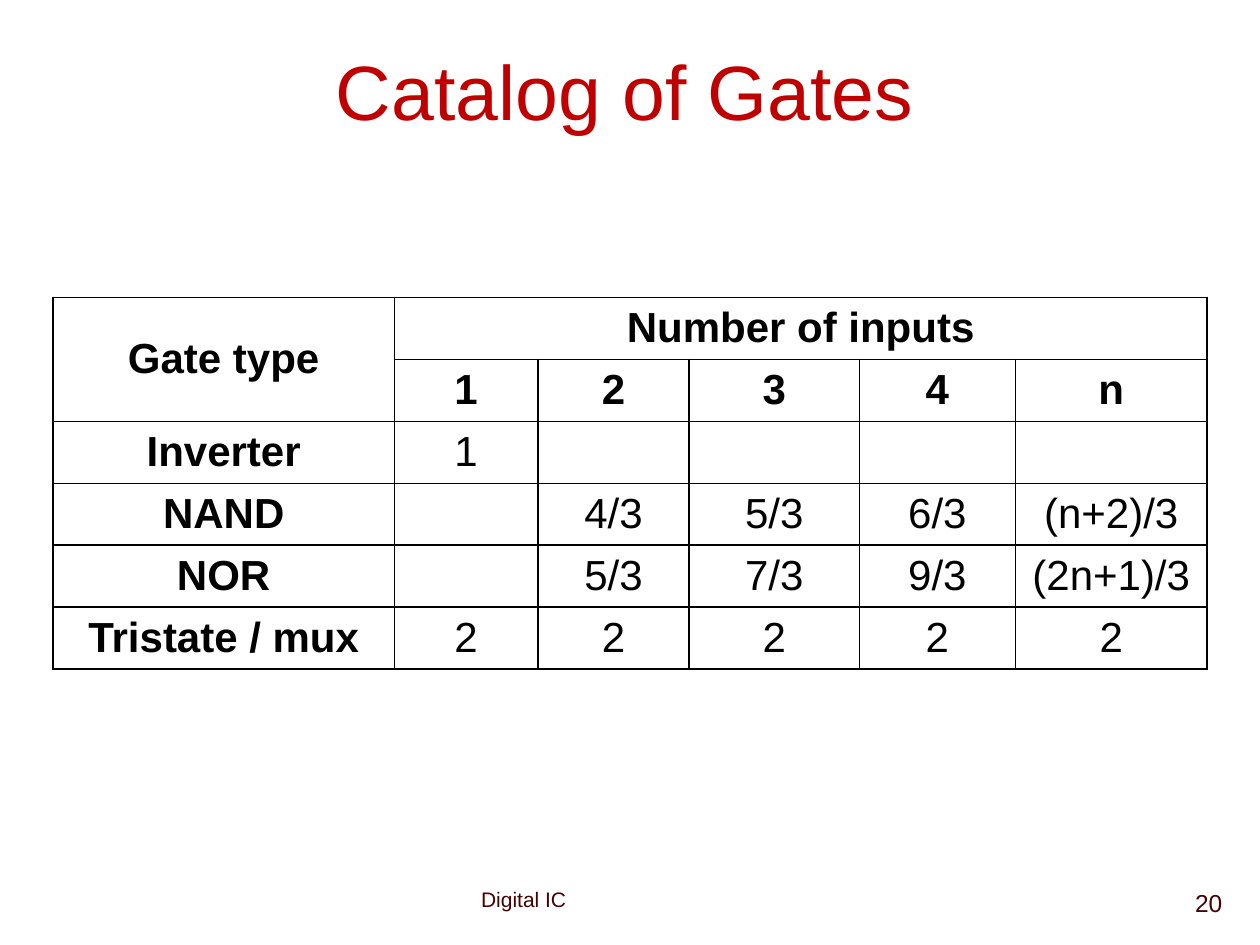
from dataclasses import dataclass

from lxml import etree
from pptx import Presentation
from pptx.dml.color import RGBColor
from pptx.enum.text import MSO_ANCHOR, PP_ALIGN
from pptx.oxml.ns import qn
from pptx.util import Inches, Pt

LEFT, CENTER, RIGHT = PP_ALIGN.LEFT, PP_ALIGN.CENTER, PP_ALIGN.RIGHT
TOP, MIDDLE = MSO_ANCHOR.TOP, MSO_ANCHOR.MIDDLE
SLIDE_WIDTH, SLIDE_HEIGHT = Inches(10), Inches(7.5)
TITLE_ONLY = 5
FONT = "Arial"
BLACK, RED, MAROON = "000000", "C00000", "480000"

COLUMN_SHARES = [27.1, 11.4, 12, 13.5, 12.4, 15.2]
ROW_SHARES = [6.27] * 2 + [6.4] * 4
HEADER_ROWS = 2
GATES = [
    ["Gate type", "Number of inputs", "", "", "", ""],
    ["", "1", "2", "3", "4", "n"],
    ["Inverter", "1", "", "", "", ""],
    ["NAND", "", "4/3", "5/3", "6/3", "(n+2)/3"],
    ["NOR", "", "5/3", "7/3", "9/3", "(2n+1)/3"],
    ["Tristate / mux", "2", "2", "2", "2", "2"],
]


def across(percent: float) -> int:
    return round(SLIDE_WIDTH * percent / 100)


def down(percent: float) -> int:
    return round(SLIDE_HEIGHT * percent / 100)


@dataclass
class Box:
    left: float
    top: float
    width: float
    height: float

    def lengths(self) -> tuple[int, int, int, int]:
        return across(self.left), down(self.top), across(self.width), down(self.height)


@dataclass
class Footer:
    text: str
    box: Box
    size: float
    align: PP_ALIGN


FOOTERS = [
    Footer("Digital IC", Box(37.2, 93.2, 24.2, 4), 12, LEFT),
    Footer("20", Box(77.2, 93.33, 20.8, 6.67), 14, RIGHT),
]


def color(value: str) -> RGBColor:
    return RGBColor.from_string(value)


def write(text_frame, text: str, *, size: float, fill: str = BLACK,
          bold: bool = False, align: PP_ALIGN = CENTER) -> None:
    paragraph = text_frame.paragraphs[0]
    paragraph.alignment = align
    run = paragraph.add_run()
    run.text = text
    run.font.name = FONT
    run.font.size = Pt(size)
    run.font.bold = bold
    run.font.color.rgb = color(fill)


def add_title(slide, text: str, box: Box) -> None:
    title = slide.shapes.title
    title.left, title.top, title.width, title.height = box.lengths()
    title.text_frame.vertical_anchor = MIDDLE
    write(title.text_frame, text, size=44, fill=RED)


def add_footer(slide, footer: Footer) -> None:
    text_frame = slide.shapes.add_textbox(*footer.box.lengths()).text_frame
    text_frame.word_wrap = True
    text_frame.vertical_anchor = TOP
    write(text_frame, footer.text, size=footer.size, fill=MAROON, align=footer.align)


def format_cell(cell) -> None:
    cell.vertical_anchor = MIDDLE
    cell.margin_left = cell.margin_right = Inches(0.1)
    cell.margin_top = cell.margin_bottom = Pt(3.3)
    properties = cell._tc.get_or_add_tcPr()
    for side in ("a:lnL", "a:lnR", "a:lnT", "a:lnB"):
        line = etree.SubElement(properties, qn(side), w=str(Pt(1)))
        fill = etree.SubElement(line, qn("a:solidFill"))
        etree.SubElement(fill, qn("a:srgbClr"), val=BLACK)
    cell.fill.background()


def add_gate_table(slide, left: float, top: float) -> None:
    box = Box(left, top, sum(COLUMN_SHARES), sum(ROW_SHARES))
    table = slide.shapes.add_table(len(GATES), len(COLUMN_SHARES), *box.lengths()).table
    table.first_row = table.horz_banding = False
    for column, share in zip(table.columns, COLUMN_SHARES):
        column.width = across(share)
    for row, share in zip(table.rows, ROW_SHARES):
        row.height = down(share)
    for row_index, texts in enumerate(GATES):
        for column_index, text in enumerate(texts):
            cell = table.cell(row_index, column_index)
            format_cell(cell)
            if text:
                heading = row_index < HEADER_ROWS or column_index == 0
                write(cell.text_frame, text, size=24, bold=heading)
    table.cell(0, 0).merge(table.cell(HEADER_ROWS - 1, 0))
    table.cell(0, 1).merge(table.cell(0, len(COLUMN_SHARES) - 1))


def main() -> None:
    presentation = Presentation()
    presentation.slide_width, presentation.slide_height = SLIDE_WIDTH, SLIDE_HEIGHT
    slide = presentation.slides.add_slide(presentation.slide_layouts[TITLE_ONLY])
    for footer in FOOTERS:
        add_footer(slide, footer)
    add_title(slide, "Catalog of Gates", Box(4.3, 4.53, 90.6, 10))
    add_gate_table(slide, 4.2, 31.47)
    presentation.save("out.pptx")


if __name__ == "__main__":
    main()
